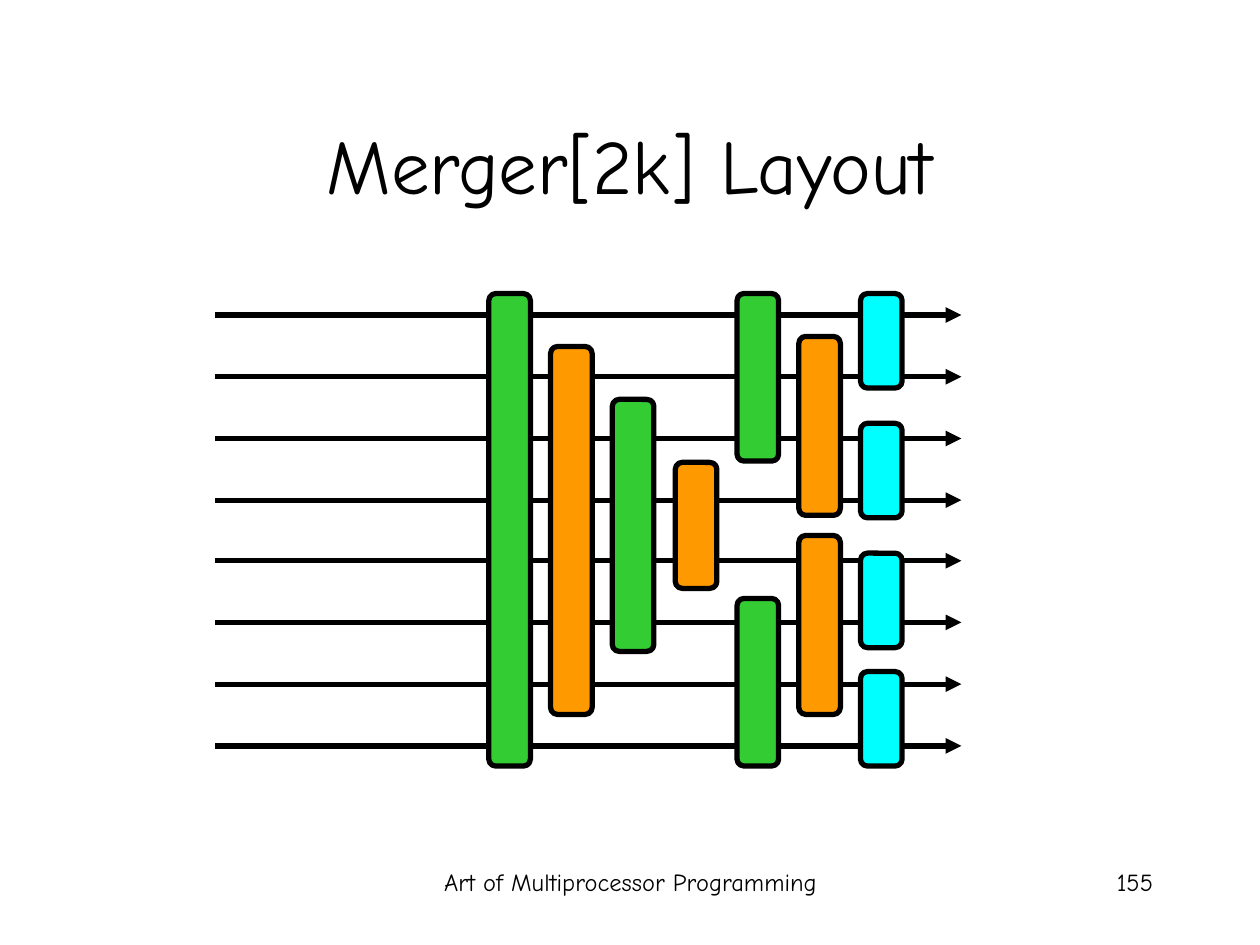
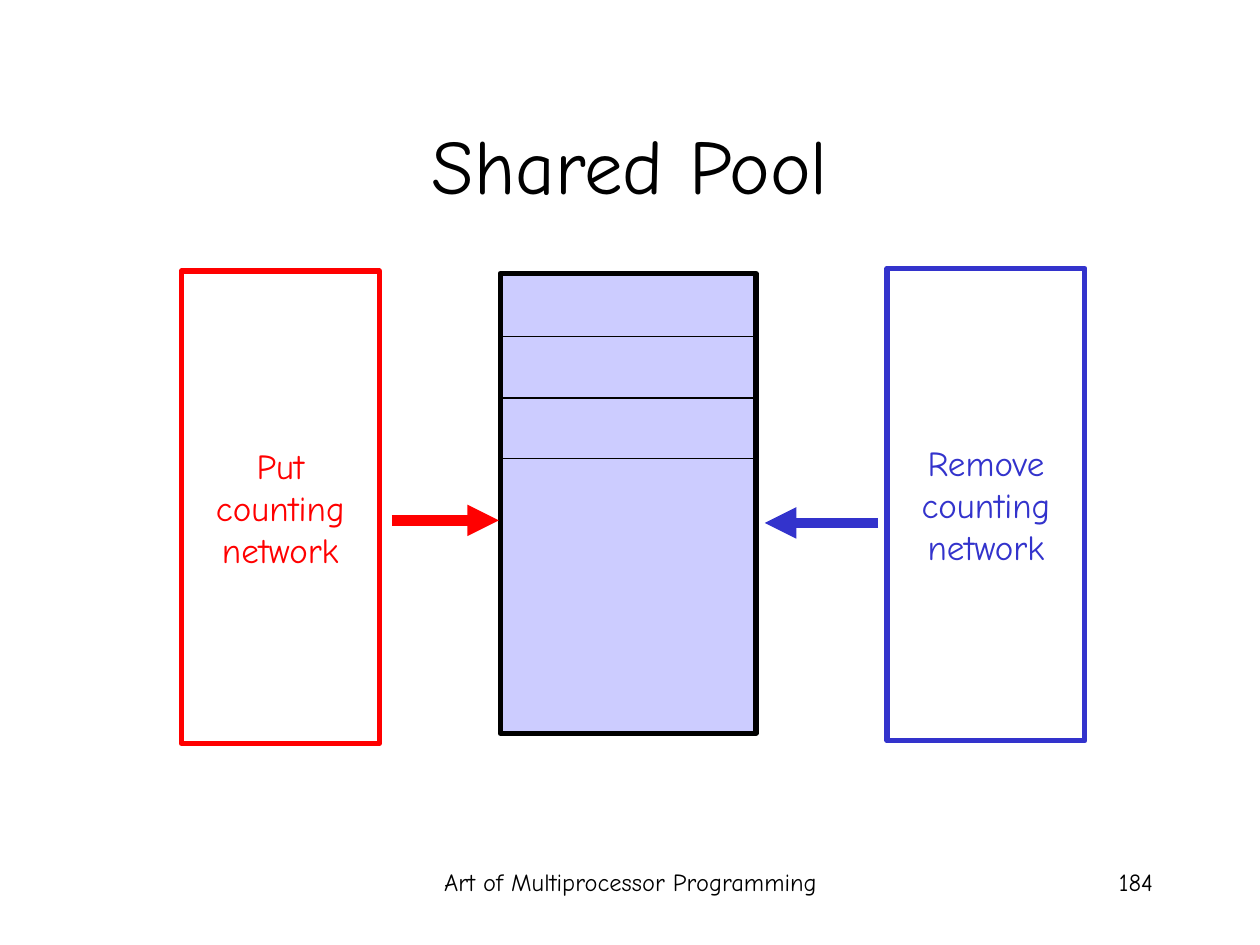
from lxml import etree
from pptx import Presentation
from pptx.dml.color import RGBColor
from pptx.enum.shapes import MSO_CONNECTOR, MSO_SHAPE
from pptx.enum.text import MSO_ANCHOR, PP_ALIGN
from pptx.oxml.ns import qn
from pptx.util import Pt

PX = 9144  # EMU in one px, 100 px to the inch
FONT = "Comic Neue"
BLACK, RED, BLUE = "000000", "FF0000", "3333CC"
GREEN, ORANGE, CYAN, LILAC = "33CC33", "FF9900", "00FFFF", "CCCCFF"


def hue(code):
    return RGBColor.from_string(code)


def emu(*sizes):
    return [round(size) * PX for size in sizes]


class Deck:
    def __init__(self):
        self.show = Presentation()
        self.show.slide_width, self.show.slide_height = emu(1000, 750)
        self.slide = None

    def start(self, title, number):
        """Add a slide with its title, footer and number."""
        self.slide = self.show.slides.add_slide(self.show.slide_layouts[6])
        self.label(title, (75, 67, 850, 125), 44, mid=True)
        self.label("Art of Multiprocessor Programming", (342, 683, 317, 50), 14)
        self.label(number, (717, 683, 208, 50), 14, PP_ALIGN.RIGHT)

    def put_text(self, frame, lines, size, color=BLACK, align=PP_ALIGN.CENTER):
        for i, line in enumerate(lines):
            para = frame.paragraphs[0] if i == 0 else frame.add_paragraph()
            para.alignment = align
            run = para.add_run()
            run.text = line
            run.font.name, run.font.size = FONT, Pt(size)
            run.font.color.rgb = hue(color)

    def label(self, text, area, size, align=PP_ALIGN.CENTER, mid=False):
        frame = self.slide.shapes.add_textbox(*emu(*area)).text_frame
        frame.word_wrap = True
        frame.vertical_anchor = MSO_ANCHOR.MIDDLE if mid else MSO_ANCHOR.TOP
        self.put_text(frame, [text], size, align=align)

    def box(self, area, fill=None, edge=BLACK, lines=(), kind=MSO_SHAPE.RECTANGLE):
        shape = self.slide.shapes.add_shape(kind, *emu(*area))
        shape.shadow.inherit = False
        if fill:
            shape.fill.solid()
            shape.fill.fore_color.rgb = hue(fill)
        else:
            shape.fill.background()
        shape.line.color.rgb, shape.line.width = hue(edge), Pt(3)
        if lines:
            frame = shape.text_frame
            frame.word_wrap = False
            frame.vertical_anchor = MSO_ANCHOR.MIDDLE
            self.put_text(frame, lines, 20, edge)

    def line(self, start, end, y, width, color=BLACK, arrow=True):
        wire = self.slide.shapes.add_connector(
            MSO_CONNECTOR.STRAIGHT, *emu(start, y, end, y))
        wire.line.color.rgb, wire.line.width = hue(color), Pt(width)
        props = wire.element.spPr
        if arrow:
            etree.SubElement(props.find(qn("a:ln")), qn("a:tailEnd"), type="triangle")
        etree.SubElement(props, qn("a:effectLst"))


def merger(deck):
    deck.start("Merger[2k] Layout", "155")

    # Eight evenly spaced wires
    for i in range(8):
        deck.line(171, 763, 250 + i * 342 / 7, 3)

    # Balancers by column: fill, then top and height of each
    columns = [
        (GREEN, [(233, 375)]),
        (ORANGE, [(275, 292)]),
        (GREEN, [(317, 200)]),
        (ORANGE, [(367, 100)]),
        (GREEN, [(233, 133), (475, 133)]),
        (ORANGE, [(267, 142), (425, 142)]),
        (CYAN, [(233, 75), (336, 75), (439, 75), (533, 75)]),
    ]
    for i, (fill, bars) in enumerate(columns):
        for top, height in bars:
            deck.box((388 + i * 295 / 6, top, 33, height), fill,
                     kind=MSO_SHAPE.ROUNDED_RECTANGLE)


def pool(deck):
    deck.start("Shared Pool", "184")

    # Pool and its slots
    deck.box((397, 217, 203, 365), LILAC)
    for i in range(3):
        deck.line(399, 599, 267 + i * 48.5, 0.75, arrow=False)

    # Networks on both sides, with arrows into the pool
    sides = [
        ("Put", RED, 144, 215, (311, 396, 413)),
        ("Remove", BLUE, 704, 213, (697, 607, 415)),
    ]
    for verb, color, left, top, (tail, tip, y) in sides:
        deck.box((left, top, 157, 375), edge=color,
                 lines=[verb, "counting", "network"])
        deck.line(tail, tip, y, 6, color)


def main():
    deck = Deck()
    merger(deck)
    pool(deck)
    deck.show.save("out.pptx")


if __name__ == "__main__":
    main()
